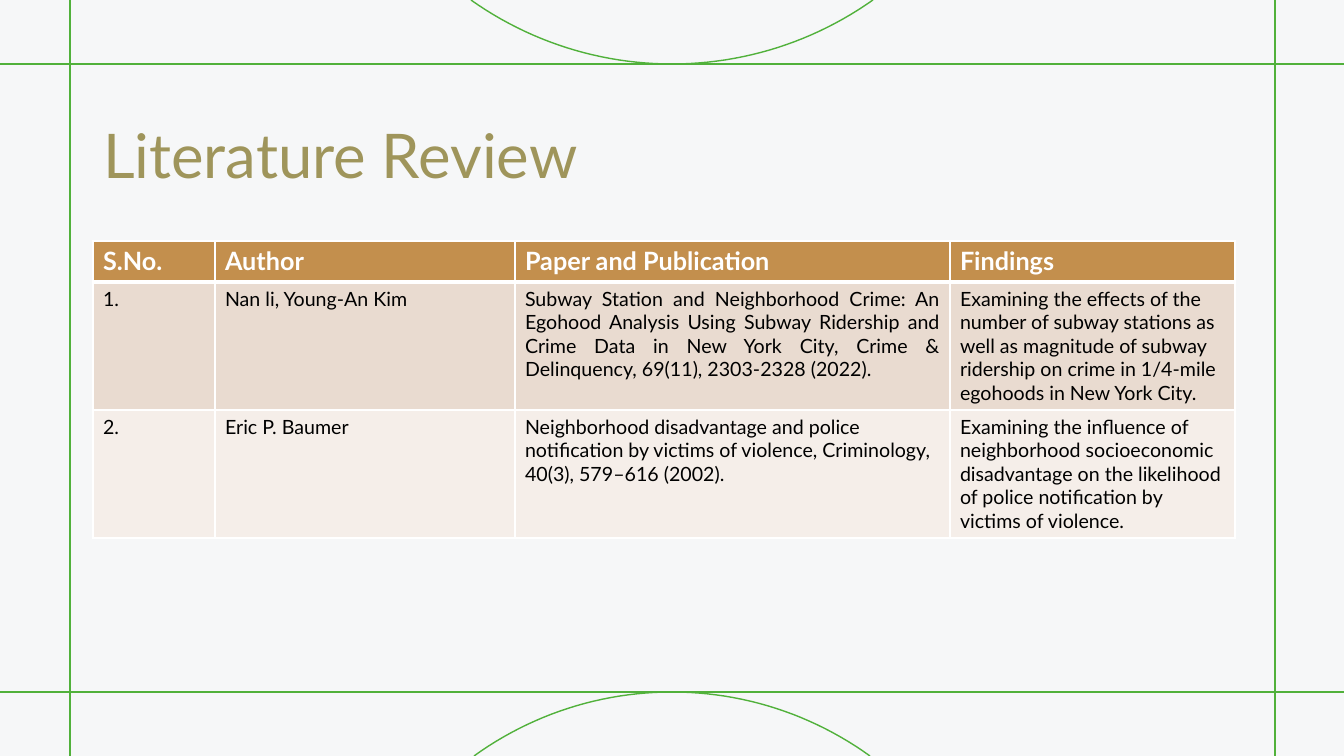
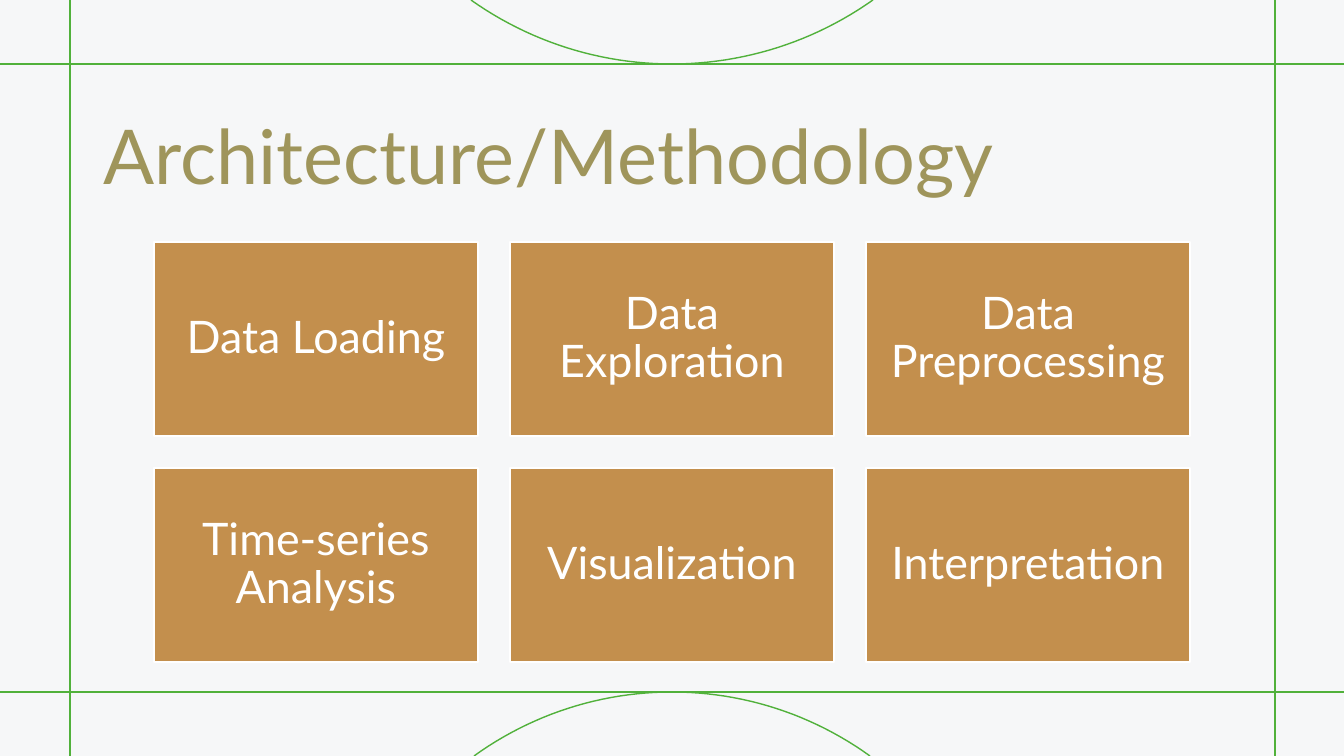
from dataclasses import dataclass
from math import asin, cos, sin

from lxml import etree
from pptx import Presentation
from pptx import util as u
from pptx.dml import color
from pptx.enum import shapes, text
from pptx.oxml import ns

SLIDE_W, SLIDE_H = 1344, 756


@dataclass(frozen=True)
class Theme:
    font: str = "Lato"
    page: str = "F6F7F8"
    rule: str = "51B13B"
    title: str = "9F955B"
    accent: str = "C38F4D"
    bands: tuple = ("E9DBD0", "F5EEE9")
    light: str = "FFFFFF"
    dark: str = "000000"
    header_size: int = 18
    body_size: int = 14
    step_size: int = 32
    thin: int = 1
    thick: int = 3


THEME = Theme()


def px(length):
    return u.Emu(round(length * 12192000 / SLIDE_W))


def rgb(code):
    return color.RGBColor.from_string(code)


def style_text(frame, size, ink, align=text.PP_ALIGN.LEFT, bold=False):
    for paragraph in frame.paragraphs:
        paragraph.alignment = align
        for run in paragraph.runs:
            run.font.name = THEME.font
            run.font.size = u.Pt(size)
            run.font.bold = bold
            run.font.color.rgb = rgb(ink)


def style_line(line, ink):
    line.color.rgb = rgb(ink)
    line.width = u.Pt(THEME.thin)


def add_rule(slide, x1, y1, x2, y2):
    rule = slide.shapes.add_connector(
        shapes.MSO_CONNECTOR.STRAIGHT, px(x1), px(y1), px(x2), px(y2))
    style_line(rule.line, THEME.rule)
    etree.SubElement(rule._element.spPr, ns.qn("a:effectLst"))


def add_arc(slide, center, apex, edge, half_chord, steps=48):
    depth = apex - edge
    radius = (half_chord ** 2 + depth ** 2) / (2 * abs(depth))
    direction = 1 if depth > 0 else -1
    sweep = asin(half_chord / radius)
    points = []
    for step in range(steps + 1):
        angle = sweep * (2 * step / steps - 1)
        drop = direction * radius * (1 - cos(angle))
        points.append((px(center + radius * sin(angle)), px(apex - drop)))
    builder = slide.shapes.build_freeform(*points[0])
    builder.add_line_segments(points[1:], close=False)
    arc = builder.convert_to_shape()
    arc.shadow.inherit = False
    arc.fill.background()
    style_line(arc.line, THEME.rule)


def add_frame(slide):
    top, bottom = 64, 692
    for y in (bottom, top):
        add_rule(slide, 0, y, SLIDE_W, y)
    for x in (1275, 70):
        add_rule(slide, x, SLIDE_H, x, 0)
    add_arc(slide, SLIDE_W / 2, top, 0, 201)
    add_arc(slide, SLIDE_W / 2, bottom, SLIDE_H, 198)


def add_titled_slide(deck, heading, size):
    slide = deck.slides.add_slide(deck.slide_layouts[5])
    add_frame(slide)
    title = slide.shapes.title
    title.left, title.top, title.width, title.height = map(px, (93, 81, 1159, 146))
    frame = title.text_frame
    frame.text = heading
    frame.word_wrap = True
    frame.auto_size = text.MSO_AUTO_SIZE.NONE
    frame.vertical_anchor = text.MSO_ANCHOR.MIDDLE
    style_text(frame, size, THEME.title)
    return slide


def set_borders(cell, widths):
    properties = cell._tc.get_or_add_tcPr()
    for index, (side, width) in enumerate(widths.items()):
        border = etree.Element(ns.qn(f"a:ln{side}"), w=str(u.Pt(width)))
        fill = etree.SubElement(border, ns.qn("a:solidFill"))
        etree.SubElement(fill, ns.qn("a:srgbClr"), val=THEME.light)
        properties.insert(index, border)


def add_review_table(slide, left, top, columns, heights, rows):
    table = slide.shapes.add_table(
        len(rows), len(columns), px(left), px(top),
        px(sum(columns)), px(sum(heights))).table
    table.horz_banding = False
    for column, width in zip(table.columns, columns):
        column.width = px(width)
    for r, (row, height) in enumerate(zip(rows, heights)):
        table.rows[r].height = px(height)
        header = r == 0
        for c, wording in enumerate(row):
            cell = table.cell(r, c)
            cell.text_frame.text = wording
            cell.fill.solid()
            cell.fill.fore_color.rgb = rgb(
                THEME.accent if header else THEME.bands[(r - 1) % 2])
            justified = (r, c) == (1, 2)
            style_text(
                cell.text_frame,
                THEME.header_size if header else THEME.body_size,
                THEME.light if header else THEME.dark,
                text.PP_ALIGN.JUSTIFY if justified else text.PP_ALIGN.LEFT,
                header)
            set_borders(cell, {
                "L": THEME.thin,
                "R": THEME.thin,
                "T": THEME.thick if r == 1 else THEME.thin,
                "B": THEME.thick if header else THEME.thin})


def add_step(slide, left, top, width, height, label):
    step = slide.shapes.add_shape(
        shapes.MSO_SHAPE.RECTANGLE, px(left), px(top), px(width), px(height))
    step.shadow.inherit = False
    step.fill.solid()
    step.fill.fore_color.rgb = rgb(THEME.accent)
    style_line(step.line, THEME.light)
    frame = step.text_frame
    frame.text = label
    frame.word_wrap = True
    frame.vertical_anchor = text.MSO_ANCHOR.MIDDLE
    frame.margin_left = frame.margin_right = px(13)
    frame.margin_top = frame.margin_bottom = px(13)
    style_text(frame, THEME.step_size, THEME.light, text.PP_ALIGN.CENTER)
    frame.paragraphs[0].line_spacing = 0.9


def add_step_grid(slide, left, top, labels, per_row=3):
    width, height, gap = 324, 194, 32
    for index, label in enumerate(labels):
        row, column = divmod(index, per_row)
        add_step(slide, left + column * (width + gap),
                 top + row * (height + gap), width, height, label)


def build_literature_review(deck):
    slide = add_titled_slide(deck, "Literature Review", 44)
    add_review_table(slide, 93, 241, (122, 300, 435, 285), (41, 128, 128), (
        ("S.No.", "Author", "Paper and Publication", "Findings"),
        ("1.", "Nan li, Young-An Kim",
         "Subway Station and Neighborhood Crime: An Egohood Analysis Using "
         "Subway Ridership and Crime Data in New York City, Crime & "
         "Delinquency, 69(11), 2303-2328 (2022).",
         "Examining the effects of the number of subway stations as well as "
         "magnitude of subway ridership on crime in 1/4-mile egohoods in "
         "New York City."),
        ("2.", "Eric P. Baumer",
         "Neighborhood disadvantage and police notification by victims of "
         "violence, Criminology, 40(3), 579–616 (2002).",
         "Examining the influence of neighborhood socioeconomic disadvantage "
         "on the likelihood of police notification by victims of violence."),
    ))


def build_methodology(deck):
    slide = add_titled_slide(deck, "Architecture/Methodology", 54)
    add_step_grid(slide, 154, 242, (
        "Data Loading", "Data Exploration", "Data Preprocessing",
        "Time-series Analysis", "Visualization", "Interpretation"))


def main():
    deck = Presentation()
    deck.slide_width, deck.slide_height = px(SLIDE_W), px(SLIDE_H)
    page = deck.slide_master.background.fill
    page.solid()
    page.fore_color.rgb = rgb(THEME.page)
    build_literature_review(deck)
    build_methodology(deck)
    deck.save("out.pptx")


if __name__ == "__main__":
    main()
